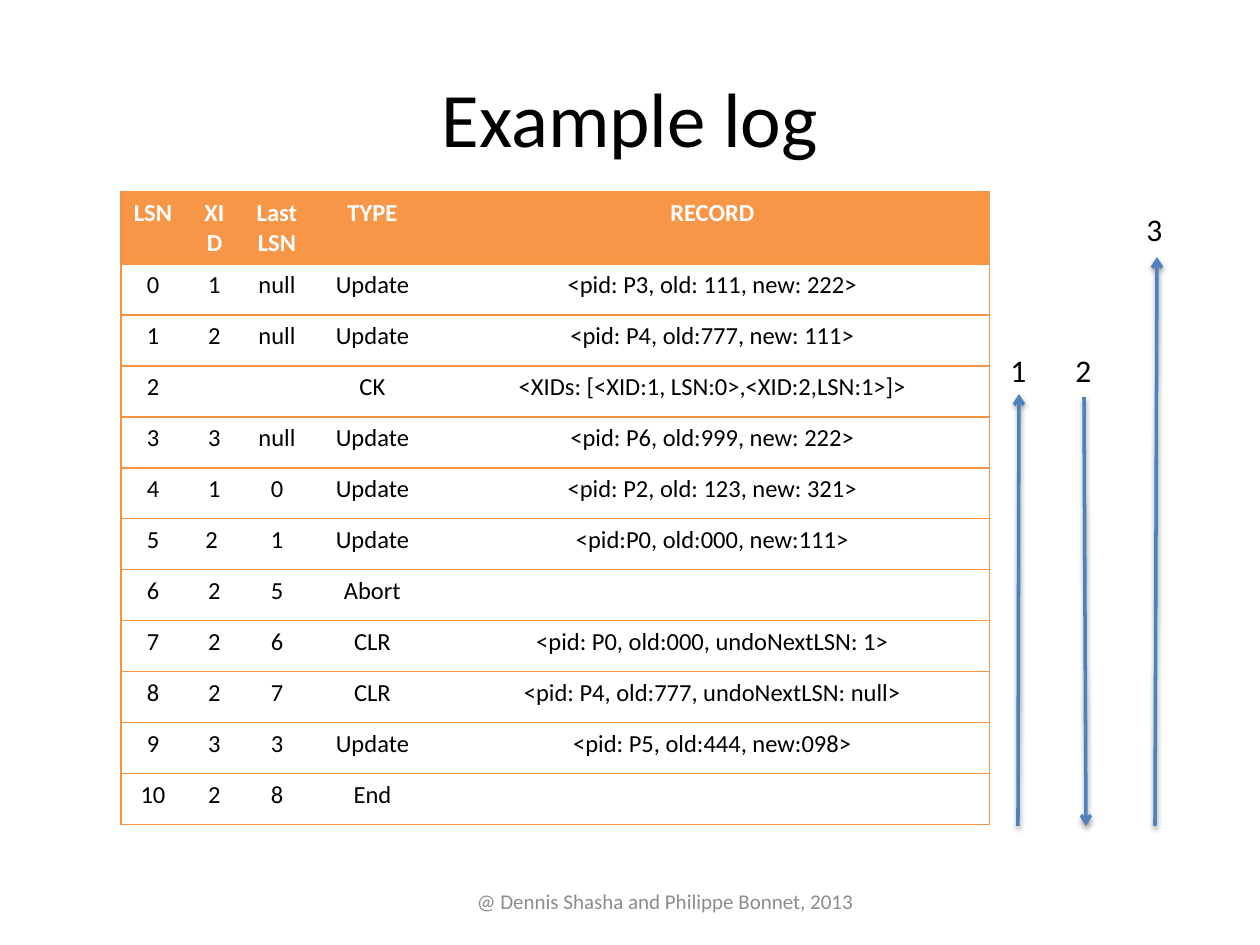
from lxml.etree import SubElement as Sub
from pptx import Presentation
from pptx.dml.color import RGBColor as Rgb
from pptx.enum.shapes import MSO_CONNECTOR as Conn
from pptx.enum.text import MSO_ANCHOR as Anchor, PP_ALIGN as Align
from pptx.oxml.ns import qn
from pptx.util import Emu, Pt

# Content
TITLE = "Example log"
CREDIT = "@ Dennis Shasha and Philippe Bonnet, 2013 "
LOG = [
    ("LSN", "XID", "Last\vLSN", "TYPE", "RECORD"),
    ("0", "1", "null", "Update", "<pid: P3, old: 111, new: 222>"),
    ("1", "2", "null", "Update", "<pid: P4, old:777, new: 111>"),
    ("2", "", "", "CK", "<XIDs: [<XID:1, LSN:0>,<XID:2,LSN:1>]>"),
    ("3", "3", "null", "Update", "<pid: P6, old:999, new: 222>"),
    ("4", "1", "0", "Update", "<pid: P2, old: 123, new: 321>"),
    ("5", "2 ", "1", "Update", "<pid:P0, old:000, new:111>"),
    ("6", "2", "5", "Abort", ""),
    ("7", "2", "6", "CLR", "<pid: P0, old:000, undoNextLSN: 1>"),
    ("8", "2", "7", "CLR", "<pid: P4, old:777, undoNextLSN: null>"),
    ("9", "3", "3", "Update", "<pid: P5, old:444, new:098>"),
    ("10", "2", "8", "End", ""),
]
# Recovery passes: label, label left and top, arrow start, arrow end
PASSES = [
    ("1", (998, 345), (1018, 826), (1019, 394)),
    ("2", (1063, 345), (1084, 397), (1086, 826)),
    ("3", (1134, 204), (1155, 826), (1157, 257)),
]
COLORS = {"ink": "000000", "paper": "FFFFFF", "gray": "8C8C8C",
          "head": "F79646", "rule": "F69240", "arrow": "4F81BD"}
FONT = "Calibri"
LEFT, TOP = 121, 192
COLS = (64, 59, 66, 125, 555)
HEAD, ROW = 72, 51


def px(n):
    return Emu(round(n * 914400 / 126))


def color(name):
    return Rgb.from_string(COLORS[name])


def style(frame, size, ink, align, bold=False):
    for para in frame.paragraphs:
        para.alignment = align
        for run in para.runs:
            font = run.font
            font.name, font.size, font.bold = FONT, Pt(size), bold
            font.color.rgb = color(ink)


def label(text, box, size, ink="ink", align=Align.CENTER,
          anchor=Anchor.MIDDLE, wrap=True):
    frame = slide.shapes.add_textbox(*map(px, box)).text_frame
    frame.word_wrap = wrap
    frame.vertical_anchor = anchor
    frame.text = text
    style(frame, size, ink, align)


def border(cell, side, shown):
    line = Sub(cell._tc.get_or_add_tcPr(), qn("a:ln" + side), w=str(Pt(0.75)))
    if shown:
        fill = Sub(line, qn("a:solidFill"))
        Sub(fill, qn("a:srgbClr"), val=COLORS["rule"])
    else:
        Sub(line, qn("a:noFill"))


def arrow(start, end):
    line = slide.shapes.add_connector(Conn.STRAIGHT, *map(px, start + end))
    line.line.color.rgb = color("arrow")
    line.line.width = Pt(2)
    Sub(line.line._get_or_add_ln(), qn("a:tailEnd"), type="arrow")
    glow = Sub(line._element.spPr, qn("a:effectLst"))
    shade = Sub(glow, qn("a:outerShdw"), blurRad=str(Pt(3.1)),
                dist=str(Pt(1.6)), dir="5400000", rotWithShape="0")
    tint = Sub(shade, qn("a:srgbClr"), val=COLORS["ink"])
    Sub(tint, qn("a:alpha"), val="38000")


deck = Presentation()
deck.slide_width, deck.slide_height = px(1260), px(945)
slide = deck.slides.add_slide(deck.slide_layouts[6])

# Title and credit
label(TITLE, (63, 38, 1134, 158), 44)
label(CREDIT, (431, 876, 473, 50), 12, "gray")

# Log table
tall = HEAD + ROW * (len(LOG) - 1)
table = slide.shapes.add_table(
    len(LOG), len(COLS), px(LEFT), px(TOP), px(sum(COLS)), px(tall)).table
for col, width in zip(table.columns, COLS):
    col.width = px(width)
for r, entry in enumerate(LOG):
    head = r == 0
    table.rows[r].height = px(HEAD if head else ROW)
    for c, text in enumerate(entry):
        cell = table.cell(r, c)
        cell.text_frame.text = text
        style(cell.text_frame, 14, "paper" if head else "ink",
              Align.CENTER, head)
        border(cell, "L", c == 0)
        border(cell, "R", c == len(COLS) - 1)
        border(cell, "T", True)
        border(cell, "B", True)
        cell.fill.solid()
        cell.fill.fore_color.rgb = color("head" if head else "paper")

# Pass arrows with their numbers
for name, spot, start, end in PASSES:
    arrow(start, end)
    label(name, spot + (42, 50), 18, align=Align.LEFT,
          anchor=Anchor.TOP, wrap=False)

deck.save("out.pptx")
